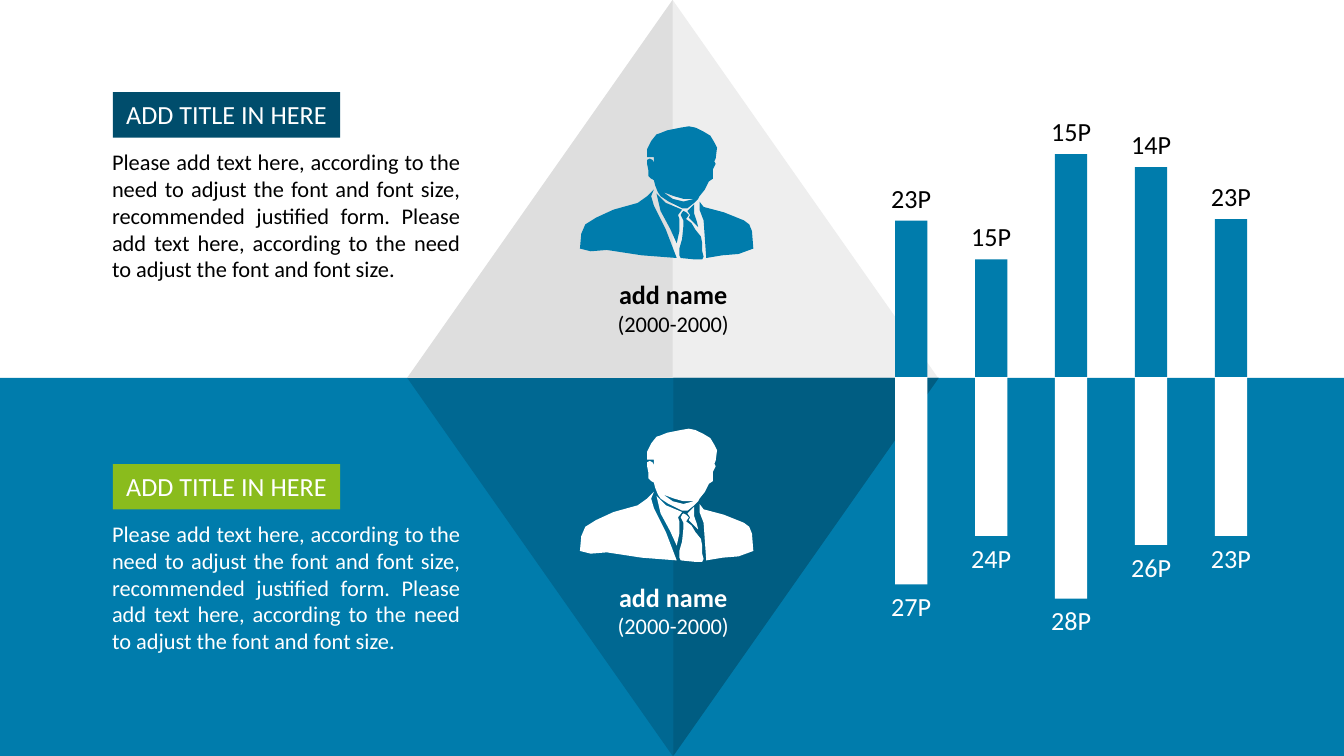
from dataclasses import dataclass

from pptx import Presentation
from pptx.dml.color import RGBColor
from pptx.enum.shapes import MSO_SHAPE
from pptx.enum.text import MSO_ANCHOR, MSO_AUTO_SIZE, PP_ALIGN
from pptx.util import Inches, Pt

BLUE = RGBColor(0x00, 0x7C, 0xAC)
DEEP_BLUE = RGBColor(0x00, 0x68, 0x92)
DARK_BLUE = RGBColor(0x00, 0x5D, 0x82)
NAVY = RGBColor(0x00, 0x4D, 0x6C)
GREEN = RGBColor(0x8A, 0xBC, 0x1D)
LIGHT_GREY = RGBColor(0xEE, 0xEE, 0xEE)
GREY = RGBColor(0xDE, 0xDE, 0xDE)
WHITE = RGBColor(0xFF, 0xFF, 0xFF)
BLACK = RGBColor(0x00, 0x00, 0x00)

FONT = "Calibri"
ADVICE = "Please add text here, according to the need to adjust the font and font size"
BODY = f"{ADVICE}, recommended justified form. {ADVICE}."

prs = Presentation()
prs.slide_width, prs.slide_height = Inches(10), Inches(5.625)
# Every position below counts columns and rows of a 100 by 100 grid.
COL, ROW = prs.slide_width / 100, prs.slide_height / 100
MIDDLE = 50
s = prs.slides.add_slide(prs.slide_layouts[6])

# Contours of the bust, in hundredths of an inch.
TIE = [(77, 63), (79, 64), (81, 66), (79, 69), (83, 72), (86, 77), (90, 82),
       (91, 87), (91, 93), (92, 97), (91, 99), (85, 99), (75, 98), (74, 96),
       (74, 91), (76, 84), (77, 74), (77, 70), (75, 66), (76, 64)]
RIGHT_COLLAR = [(85, 58), (85, 65), (87, 71), (88, 75), (81, 68), (82, 66), (80, 63)]
RIGHT_SHOULDER = [(89, 56), (92, 60), (107, 64), (122, 70), (126, 73), (128, 78),
                  (129, 91), (118, 95), (106, 96), (94, 98), (93, 84), (92, 70), (89, 62)]
LEFT_COLLAR = [(57, 50), (64, 57), (76, 62), (73, 66), (74, 69), (74, 78), (72, 87),
               (67, 76), (60, 63)]
NECK = [(62, 49), (69, 54), (77, 56), (85, 54), (77, 54), (70, 52)]
LEFT_SHOULDER = [(55, 47), (53, 52), (55, 59), (64, 77), (72, 98), (46, 96), (20, 92),
                 (8, 93), (0, 91), (1, 80), (4, 73), (12, 68), (25, 62), (43, 57), (50, 52)]
HEAD = [(81, 0), (86, 1), (92, 4), (97, 7), (100, 12), (102, 16), (101, 24), (100, 26),
        (101, 28), (99, 32), (99, 39), (96, 41), (93, 47), (89, 52), (88, 54), (85, 57),
        (80, 61), (76, 61), (66, 56), (60, 52), (58, 49), (56, 44), (55, 40), (53, 39),
        (51, 37), (51, 33), (50, 28), (50, 25), (52, 24), (54, 25), (55, 27), (55, 23),
        (52, 23), (50, 23), (50, 17), (53, 11), (57, 6), (60, 5), (65, 3), (75, 1)]
BUST = [TIE, RIGHT_COLLAR, RIGHT_SHOULDER, LEFT_COLLAR, NECK, LEFT_SHOULDER, HEAD]


@dataclass
class Box:
    left: float
    top: float
    width: float
    height: float

    def emu(self) -> list[int]:
        return [round(self.left * COL), round(self.top * ROW),
                round(self.width * COL), round(self.height * ROW)]


@dataclass
class Half:
    """Content of the upper or lower half; tops are in rows."""
    heading_top: float
    bust_top: float
    heading_fill: RGBColor
    bust_fill: RGBColor
    ink: RGBColor


@dataclass
class Bar:
    above: float
    above_label: str
    below: float
    below_label: str


HALVES = [Half(12.2, 16.71, NAVY, BLUE, BLACK),
          Half(61.4, 56.71, GREEN, WHITE, WHITE)]
BARS = [Bar(20.7, "23P", 27.4, "27P"), Bar(15.6, "15P", 21, "24P"),
        Bar(29.5, "15P", 29.3, "28P"), Bar(27.8, "14P", 22.2, "26P"),
        Bar(20.9, "23P", 21, "23P")]


def paint(shape, fill: RGBColor):
    shape.shadow.inherit = False
    shape.fill.solid()
    shape.fill.fore_color.rgb = fill
    shape.line.fill.background()
    return shape


def add_block(box: Box, fill: RGBColor, kind=MSO_SHAPE.RECTANGLE,
              flip_h: bool = False, flip_v: bool = False):
    shape = paint(s.shapes.add_shape(kind, *box.emu()), fill)
    xfrm = shape._element.spPr.xfrm
    if flip_h:
        xfrm.set("flipH", "1")
    if flip_v:
        xfrm.set("flipV", "1")
    return shape


def write(shape, text: str, color: RGBColor, sizes: list[int],
          align=PP_ALIGN.CENTER, wrap: bool = False):
    tf = shape.text_frame
    tf.word_wrap = wrap
    tf.auto_size = MSO_AUTO_SIZE.SHAPE_TO_FIT_TEXT
    tf.vertical_anchor = MSO_ANCHOR.TOP
    tf.text = text
    for p, size in zip(tf.paragraphs, sizes):
        p.alignment = align
        for r in p.runs:
            r.font.name, r.font.size, r.font.color.rgb = FONT, Pt(size), color
    return tf


def add_text(box: Box, *args, **kwargs):
    return write(s.shapes.add_textbox(*box.emu()), *args, **kwargs)


def add_bust(left: float, top: float, fill: RGBColor) -> None:
    builder = s.shapes.build_freeform(*BUST[0][0], scale=Inches(0.01))
    for contour in BUST:
        builder.move_to(*contour[0])
        builder.add_line_segments(contour[1:], close=True)
    paint(builder.convert_to_shape(round(left * COL), round(top * ROW)), fill)


def add_diamond() -> None:
    left, width = 30.3, 39.5
    centre = left + width / 2 + 0.05
    upper, lower = Box(left, 0, width, MIDDLE), Box(left, MIDDLE, width, MIDDLE)
    add_block(upper, LIGHT_GREY, MSO_SHAPE.ISOSCELES_TRIANGLE)
    add_block(lower, DEEP_BLUE, MSO_SHAPE.ISOSCELES_TRIANGLE, flip_v=True)
    add_block(Box(left, 0, width / 2, MIDDLE), GREY,
              MSO_SHAPE.RIGHT_TRIANGLE, flip_h=True)
    add_block(Box(centre, MIDDLE, width / 2, MIDDLE), DARK_BLUE,
              MSO_SHAPE.RIGHT_TRIANGLE, flip_v=True)


def add_half(half: Half) -> None:
    add_bust(43.15, half.bust_top, half.bust_fill)
    tf = add_text(Box(44.95, half.bust_top + 19.3, 10.3, 9.6),
                  "add name\n(2000-2000)", half.ink, [14, 12])
    tf.paragraphs[0].runs[0].font.bold = True
    tf = add_text(Box(7.35, half.heading_top + 6.5, 27.9, 19.56), BODY, half.ink, [12],
                  align=PP_ALIGN.JUSTIFY, wrap=True)
    tf.paragraphs[0].space_after = Pt(6)
    heading = add_block(Box(8.4, half.heading_top, 16.9, 6), half.heading_fill)
    tf = write(heading, "ADD TITLE IN HERE", WHITE, [14], align=PP_ALIGN.LEFT, wrap=True)
    tf.margin_right = 0  # keeps the heading on one line


def add_bar(index: int, bar: Bar) -> None:
    width, label_width, label_height = 2.4, 5, 6
    left = 66.6 + 5.95 * index
    label_left = left + (width - label_width) / 2
    top, bottom = MIDDLE - bar.above, MIDDLE + bar.below
    add_block(Box(left, top - 0.1, width, bar.above), BLUE)
    add_block(Box(left, MIDDLE - 0.1, width, bar.below), WHITE)
    add_text(Box(label_left, top - label_height - 0.1, label_width, label_height),
             bar.above_label, BLACK, [14])
    add_text(Box(label_left, bottom - 0.2, label_width, label_height),
             bar.below_label, WHITE, [14])


add_block(Box(0, MIDDLE, 100, MIDDLE), BLUE)
add_diamond()
for half in HALVES:
    add_half(half)
for index, bar in enumerate(BARS):
    add_bar(index, bar)

prs.save("out.pptx")
